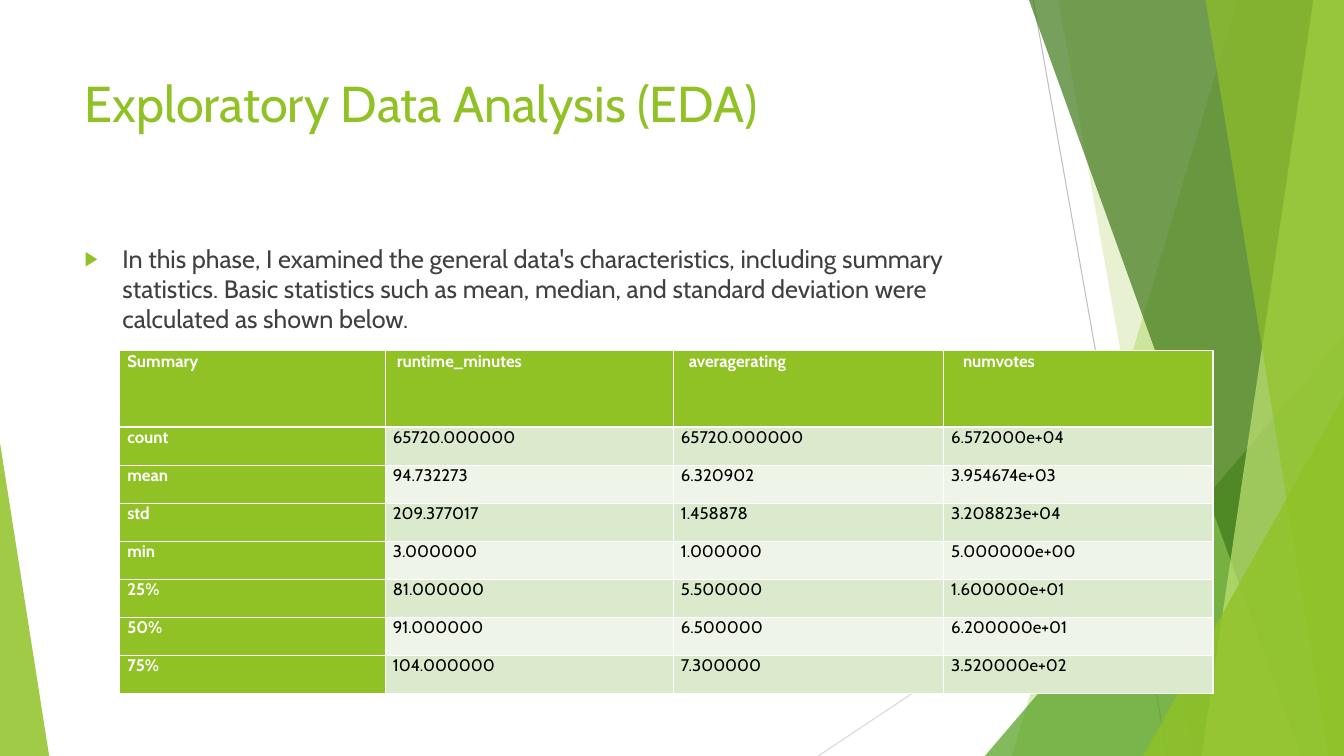
from lxml.etree import SubElement
from pptx import Presentation
from pptx.dml.color import RGBColor
from pptx.enum.shapes import MSO_CONNECTOR, MSO_SHAPE
from pptx.enum.text import MSO_ANCHOR, MSO_AUTO_SIZE, PP_ALIGN
from pptx.oxml.ns import qn
from pptx.util import Cm, Pt

FONT = "Cabin"
GREEN = RGBColor(0x90, 0xC2, 0x26)
LEAF = RGBColor(0x54, 0xA0, 0x21)
FOREST = RGBColor(0x3F, 0x78, 0x19)
LIME = RGBColor(0xC0, 0xE4, 0x74)
BAND_DARK = RGBColor(0xDB, 0xE9, 0xCD)
BAND_LIGHT = RGBColor(0xEE, 0xF4, 0xE8)
GRAY = RGBColor(0xBF, 0xBF, 0xBF)
PALE_GRAY = RGBColor(0xD9, 0xD9, 0xD9)
TEXT_GRAY = RGBColor(0x40, 0x40, 0x40)
WHITE = RGBColor(0xFF, 0xFF, 0xFF)
BLACK = RGBColor(0, 0, 0)
WIDTH, HEIGHT = 33.87, 19.05


def style_facet(facet, color, opacity):
    """Give a shape a translucent fill, without outline or shadow."""
    facet.shadow.inherit = False
    facet.line.fill.background()
    facet.fill.solid()
    facet.fill.fore_color.rgb = color
    color_xml = facet.fill._xPr.find(qn("a:solidFill"))[0]
    SubElement(color_xml, qn("a:alpha"), val=str(opacity * 1000))


def style_font(paragraph, size, color, bold=False):
    paragraph.font.name = FONT
    paragraph.font.size = Pt(size)
    paragraph.font.color.rgb = color
    paragraph.font.bold = bold


prs = Presentation()
prs.slide_width, prs.slide_height = Cm(WIDTH), Cm(HEIGHT)
slide = prs.slides.add_slide(prs.slide_layouts[1])
shapes = slide.shapes

# Thin lines behind the facets
for x1, y1, x2, y2, color in [
    (26.04, 0, 29.42, HEIGHT, GRAY),
    (WIDTH, 10.23, 20.62, HEIGHT, PALE_GRAY),
]:
    ray = shapes.add_connector(MSO_CONNECTOR.STRAIGHT, Cm(x1), Cm(y1), Cm(x2), Cm(y2))
    ray.line.color.rgb = color
    ray.line.width = Pt(0.75)
    SubElement(ray._element.spPr, qn("a:effectLst"))

# Bands give the top and bottom x of their left edge and run to the slide's right edge;
# triangles give left, top and the position of the apex, and stand on the bottom edge.
facets = [
    ("band", (31.19, 25.5), GREEN, 30),
    ("band", (26.67, 30.05), GREEN, 20),
    ("triangle", (24.82, 8.46, 9.05, 1), LEAF, 72),
    ("band", (25.93, 32.79), FOREST, 70),
    ("band", (33.1, 30.28), LIME, 70),
    ("band", (30.38, 33.48), GREEN, 65),
    ("triangle", (28.81, 9.98, 5.06, 1), GREEN, 80),
    ("triangle", (0, 11.15, 1.24, 0), GREEN, 85),
]
for kind, geometry, color, opacity in facets:
    if kind == "band":
        top_x, bottom_x = geometry
        outline = shapes.build_freeform(Cm(top_x), Cm(0))
        outline.add_line_segments([
            (Cm(WIDTH), Cm(0)), (Cm(WIDTH), Cm(HEIGHT)), (Cm(bottom_x), Cm(HEIGHT)),
        ])
        facet = outline.convert_to_shape()
    else:
        left, top, width, apex = geometry
        facet = shapes.add_shape(MSO_SHAPE.ISOSCELES_TRIANGLE, Cm(left), Cm(top),
                                 Cm(width), Cm(HEIGHT - top))
        facet.adjustments[0] = apex
    style_facet(facet, color, opacity)

# Title and bullet
title, body = shapes.title, slide.placeholders[1]
for placeholder, top, height, text, size, color in [
    (title, 1.7, 3.66, "Exploratory Data Analysis (EDA)", 36, GREEN),
    (body, 6, 10.77,
     "In this phase, I examined the general data's characteristics, including summary "
     "statistics. Basic statistics such as mean, median, and standard deviation were "
     "calculated as shown below.", 18, TEXT_GRAY),
]:
    placeholder.left, placeholder.top = Cm(1.88), Cm(top)
    placeholder.width, placeholder.height = Cm(23.88), Cm(height)
    frame = placeholder.text_frame
    frame.text = text
    frame.word_wrap = True
    frame.auto_size = MSO_AUTO_SIZE.NONE
    frame.vertical_anchor = MSO_ANCHOR.TOP
    frame.paragraphs[0].alignment = PP_ALIGN.LEFT
    style_font(frame.paragraphs[0], size, color)

phase = body.text_frame.paragraphs[0]
phase.space_before = Pt(10)
phase_props = phase._p.get_or_add_pPr()
phase_props.set("marL", str(Cm(0.95)))
phase_props.set("indent", str(-Cm(0.95)))
bullet_color = SubElement(phase_props, qn("a:buClr"))
SubElement(bullet_color, qn("a:srgbClr"), val=str(GREEN))
SubElement(phase_props, qn("a:buSzPct"), val="80000")
SubElement(phase_props, qn("a:buChar"), char="▶")
phase_props.append(phase_props.find(qn("a:defRPr")))

# Summary statistics
statistics = [
    ("Summary", "runtime_minutes", "averagerating", "numvotes"),
    ("count", "65720.000000", "65720.000000", "6.572000e+04"),
    ("mean", "94.732273", "6.320902", "3.954674e+03"),
    ("std", "209.377017", "1.458878", "3.208823e+04"),
    ("min", "3.000000", "1.000000", "5.000000e+00"),
    ("25%", "81.000000", "5.500000", "1.600000e+01"),
    ("50%", "91.000000", "6.500000", "6.200000e+01"),
    ("75%", "104.000000", "7.300000", "3.520000e+02"),
]
table = shapes.add_table(len(statistics), 4, Cm(3.02), Cm(8.84), Cm(27.55), Cm(8.66)).table
table.first_col = True
for column, width in zip(table.columns, (6.69, 7.26, 6.81, 6.79)):
    column.width = Cm(width)
for r, values in enumerate(statistics):
    table.rows[r].height = Cm(0.96 if r else 1.92)
    for c, value in enumerate(values):
        is_header = r == 0 or c == 0
        cell = table.cell(r, c)
        cell.text = value
        cell.margin_left = Cm(0.19 if r else 0.19 + 0.1 * c)
        cell.margin_right = Cm(0.19)
        cell.margin_top = cell.margin_bottom = 0
        cell.fill.solid()
        cell.fill.fore_color.rgb = GREEN if is_header else BAND_DARK if r % 2 else BAND_LIGHT
        entry = cell.text_frame.paragraphs[0]
        entry.alignment = PP_ALIGN.JUSTIFY
        style_font(entry, 12, WHITE if is_header else BLACK, is_header)

prs.save("out.pptx")
